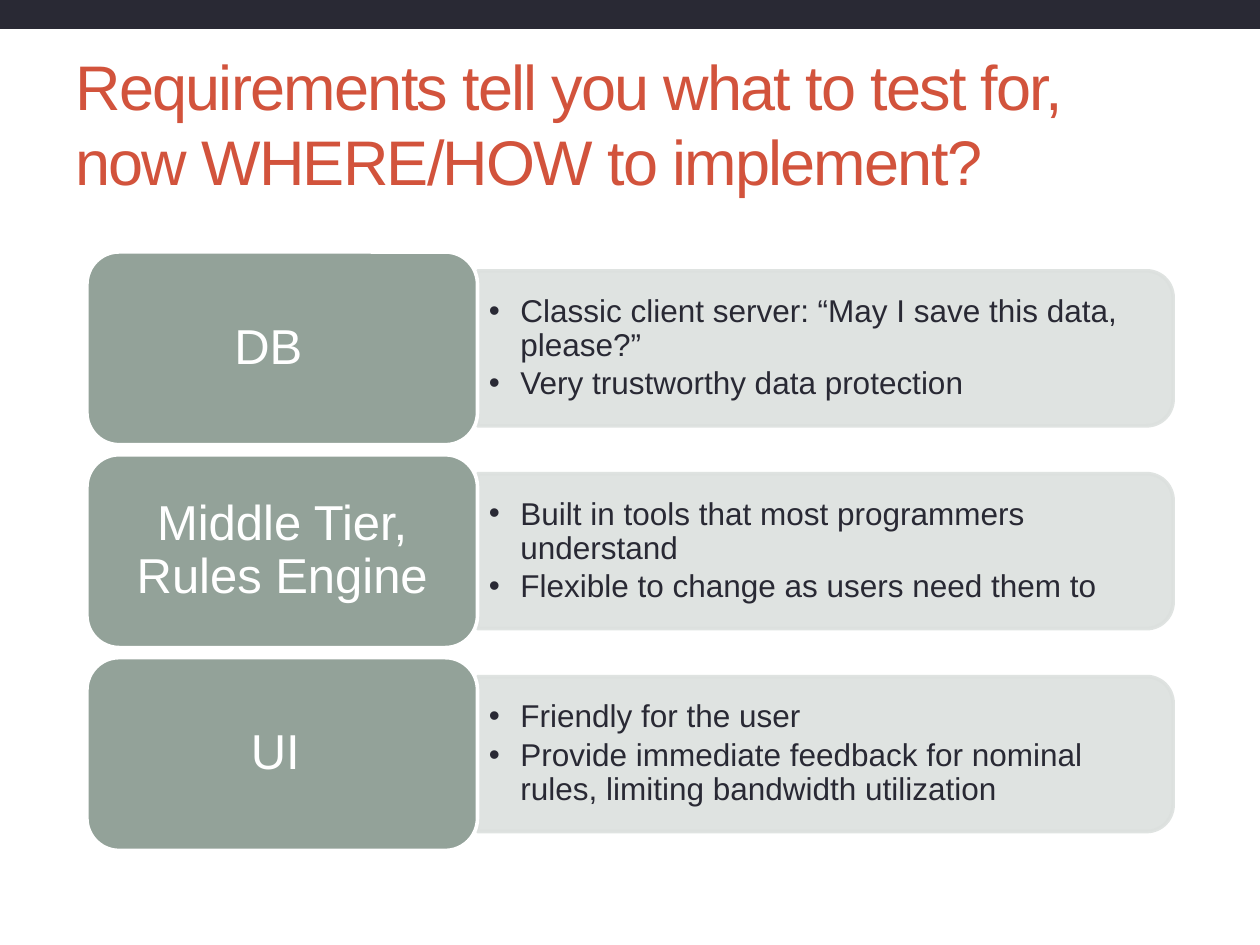
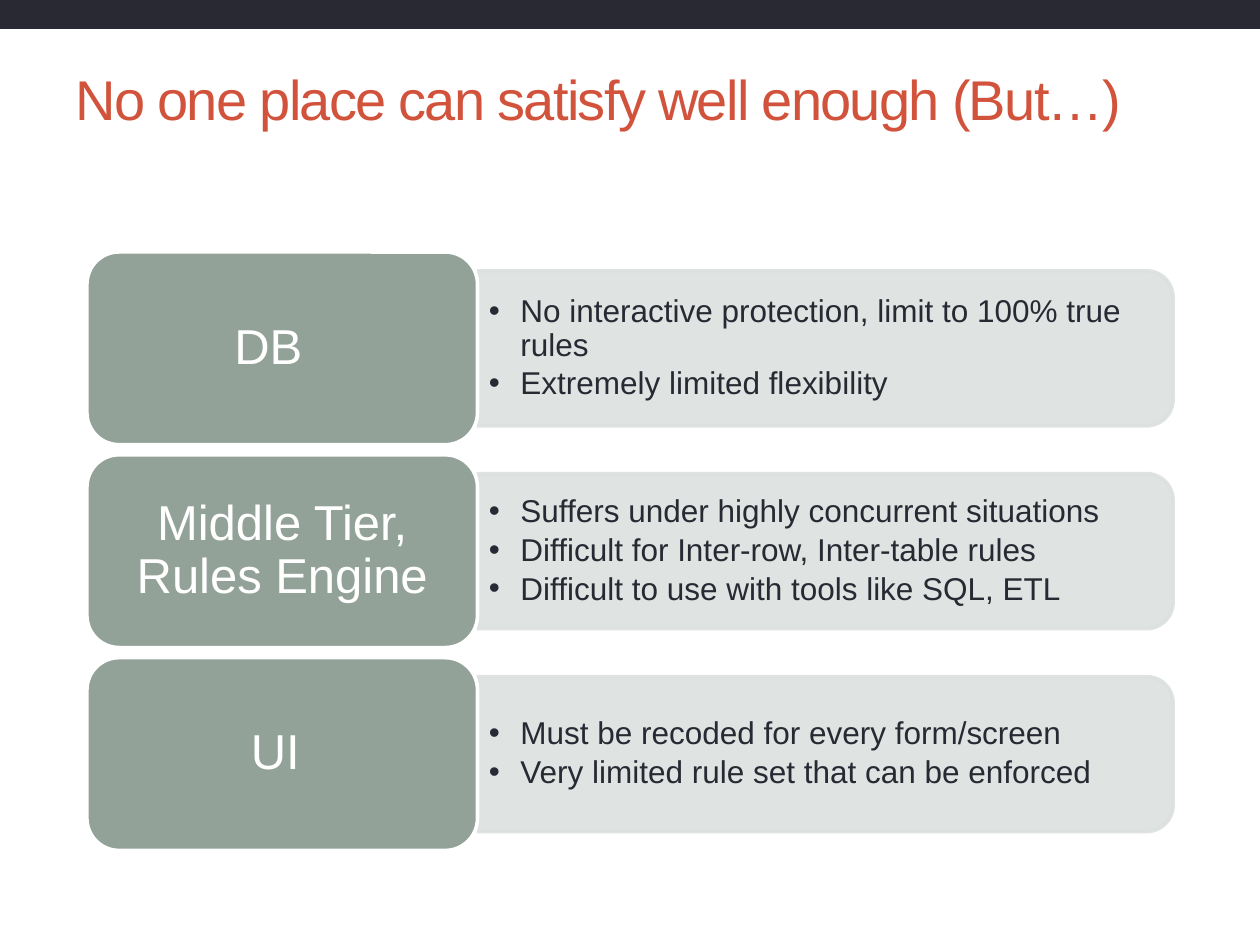
"""Build two slides that compare where business rules can live."""
from dataclasses import dataclass
from math import cos, radians, sin

from lxml.etree import SubElement as Sub
from pptx import Presentation
from pptx.dml.color import RGBColor as Rgb
from pptx.enum.shapes import MSO_SHAPE as Shape
from pptx.enum.text import MSO_ANCHOR as Anchor, PP_ALIGN as Align
from pptx.oxml.ns import qn
from pptx.util import Inches, Pt


@dataclass(frozen=True)
class Theme:
    font: str = "Arial"
    dark: str = "292934"
    accent: str = "D2533C"
    sage: str = "93A299"
    pale: str = "DCE0DE"
    white: str = "FFFFFF"
    label: int = 28
    body: int = 18
    edge: float = 2.08


def write(shape, lines, font, size, color, align=Align.LEFT, pad=(0.1, 0.05, 0.1, 0.05),
          space=0.9, after=0, track=0, indent=0):
    frame = shape.text_frame
    frame.word_wrap = True
    frame.vertical_anchor = Anchor.MIDDLE
    (frame.margin_left, frame.margin_top,
     frame.margin_right, frame.margin_bottom) = map(Inches, pad)
    for i, line in enumerate(lines):
        para = frame.add_paragraph() if i else frame.paragraphs[0]
        para.alignment = align
        para.line_spacing = space
        para.space_after = Pt(after)
        if indent:
            props = para._p.get_or_add_pPr()
            props.set("marL", str(Inches(indent)))
            props.set("indent", str(-Inches(indent)))
            Sub(props, qn("a:buFont"), typeface=font)
            Sub(props, qn("a:buChar"), char="•")
        run = para.add_run()
        run.text = line
        run.font.name = font
        run.font.size = Pt(size)
        run.font.color.rgb = Rgb.from_string(color)
        if track:
            run._r.get_or_add_rPr().set("spc", str(track * 100))


class Deck:
    def __init__(self, theme):
        self.theme = theme
        self.show = Presentation()
        self.show.slide_width = Inches(10)
        self.show.slide_height = Inches(7.5)

    def page(self):
        self.slide = self.show.slides.add_slide(self.show.slide_layouts[6])
        self.band()

    def paint(self, shape, fill, line=None, alpha=None):
        shape.shadow.inherit = False
        shape.fill.solid()
        shape.fill.fore_color.rgb = Rgb.from_string(fill)
        if line:
            shape.line.color.rgb = Rgb.from_string(line)
            shape.line.width = Pt(self.theme.edge)
        else:
            shape.line.fill.background()
        if alpha:
            for tint in shape._element.spPr.iter(qn("a:srgbClr")):
                Sub(tint, qn("a:alpha"), val=str(alpha * 1000))

    def block(self, kind, left, top, width, height):
        return self.slide.shapes.add_shape(kind, *map(Inches, (left, top, width, height)))

    def band(self):
        self.paint(self.block(Shape.RECTANGLE, 0, -0.01, 10, 0.24), self.theme.dark)

    def title(self, text, top, size):
        box = self.slide.shapes.add_textbox(*map(Inches, (0.5, top, 8.92, 0.95)))
        write(box, [text], self.theme.font, size, self.theme.accent, space=1.0, track=-1)

    def panel(self, left, top, width, height, lines, curve=0.21):
        right, low = left + width, top + height
        arcs = [(right - curve, top + curve, -90), (right - curve, low - curve, 0)]
        edge = [(x + curve * cos(radians(start + turn)), y + curve * sin(radians(start + turn)))
                for x, y, start in arcs for turn in range(0, 91, 6)]
        pen = self.slide.shapes.build_freeform(Inches(left), Inches(top))
        pen.add_line_segments([(Inches(x), Inches(y)) for x, y in edge + [(left, low)]])
        shape = pen.convert_to_shape()
        self.paint(shape, self.theme.pale, self.theme.pale, 90)
        write(shape, lines, self.theme.font, self.theme.body, self.theme.dark,
              pad=(0.09, 0.1, 0.14, 0.1), after=2.7, indent=0.25)

    def label(self, left, top, width, height, text, shift):
        shape = self.block(Shape.ROUNDED_RECTANGLE, left, top, width, height)
        self.paint(shape, self.theme.sage, self.theme.white)
        write(shape, [text], self.theme.font, self.theme.label, self.theme.white,
              Align.CENTER, (0.12, 0.06, 0.12 + shift, 0.06))

    def tiers(self, groups):
        for i, ((name, shift), lines) in enumerate(zip(TIERS, groups)):
            top = 2 + 1.61 * i
            self.panel(3.79, top + 0.15, 5.52, 1.23, lines)
            self.label(0.69, top, 3.1, 1.53, name, shift)


TIERS = [("DB", 0.22), ("Middle Tier, Rules Engine", 0), ("UI", 0.11)]

PAGES = [
    ("Requirements tell you what to test for, now WHERE/HOW to implement?", 0.5, 36, [
        ["Classic client server: “May I save this data, please?”",
         "Very trustworthy data protection"],
        ["Built in tools that most programmers understand",
         "Flexible to change as users need them to"],
        ["Friendly for the user",
         "Provide immediate feedback for nominal rules, limiting bandwidth utilization"]]),
    ("No one place can satisfy well enough (But…)", 0.3, 32, [
        ["No interactive protection, limit to 100% true rules",
         "Extremely limited flexibility"],
        ["Suffers under highly concurrent situations",
         "Difficult for Inter-row, Inter-table rules",
         "Difficult to use with tools like SQL, ETL"],
        ["Must be recoded for every form/screen",
         "Very limited rule set that can be enforced"]]),
]


def main():
    deck = Deck(Theme())
    for text, top, size, groups in PAGES:
        deck.page()
        deck.title(text, top, size)
        deck.tiers(groups)
    deck.show.save("out.pptx")


if __name__ == "__main__":
    main()
